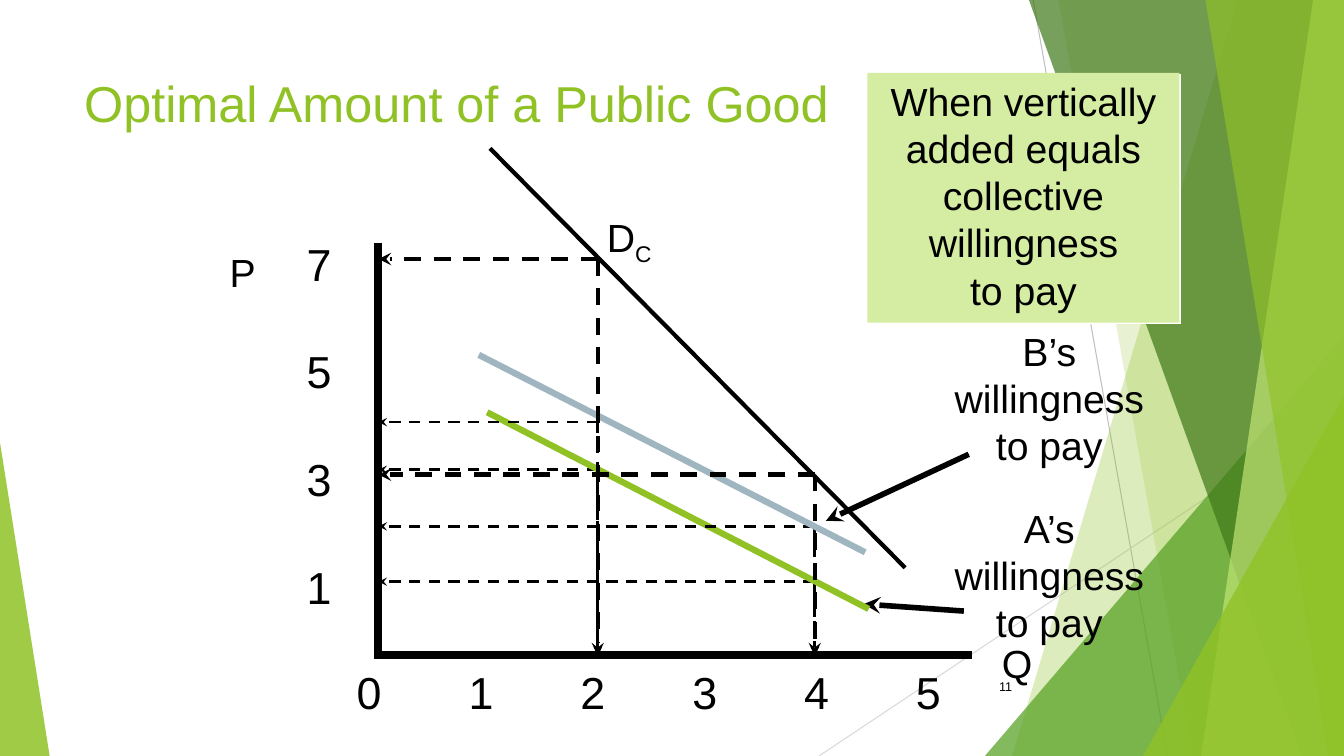
from dataclasses import dataclass

from lxml import etree
from pptx import Presentation
from pptx.dml.color import RGBColor
from pptx.enum.dml import MSO_LINE
from pptx.enum.shapes import MSO_CONNECTOR, MSO_SHAPE
from pptx.enum.text import MSO_ANCHOR, PP_ALIGN
from pptx.oxml.ns import qn
from pptx.util import Pt


@dataclass(frozen=True)
class Theme:
    font: str = "Arial"
    ink: str = "000000"
    white: str = "FFFFFF"
    green: str = "90C226"
    mid_green: str = "54A021"
    dark_green: str = "3F7819"
    light_green: str = "C0E474"
    callout: str = "D5EDA2"
    blue: str = "9FB6C0"
    hairline: str = "BFBFBF"
    pale_hairline: str = "D9D9D9"
    title: float = 36
    tick: float = 32
    label: float = 28
    number: float = 9
    leading: float = 1.2


THEME = Theme()
WIDTH, HEIGHT = 960, 540
AXIS_X, AXIS_Y = 270.5, 468
UNIT = 79.9
QUANTITY_X = {2: 427, 4: 582}


def add_line(slide, start, end, color=THEME.ink, weight=2, dashed=False, arrow=False):
    line = slide.shapes.add_connector(
        MSO_CONNECTOR.STRAIGHT, *(Pt(value) for value in (*start, *end)))
    line.line.color.rgb = RGBColor.from_string(color)
    line.line.width = Pt(weight)
    if dashed:
        line.line.dash_style = MSO_LINE.DASH
    if arrow:
        etree.SubElement(line.line._get_or_add_ln(), qn("a:tailEnd"), type="stealth")
    etree.SubElement(line._element.spPr, qn("a:effectLst"))


def paint(shape, color, opacity=100):
    shape.shadow.inherit = False
    shape.fill.solid()
    shape.fill.fore_color.rgb = RGBColor.from_string(color)
    shape.line.fill.background()
    if opacity < 100:
        fill = shape._element.spPr.find(qn("a:solidFill"))
        etree.SubElement(fill[0], qn("a:alpha"), val=str(opacity * 1000))


def add_band(slide, points, color, opacity):
    outline = slide.shapes.build_freeform(*points[0], scale=Pt(1))
    outline.add_line_segments(points[1:], close=True)
    paint(outline.convert_to_shape(), color, opacity)


def add_triangle(slide, box, apex, color, opacity):
    triangle = slide.shapes.add_shape(
        MSO_SHAPE.ISOSCELES_TRIANGLE, *(Pt(value) for value in box))
    triangle.adjustments[0] = apex
    paint(triangle, color, opacity)


def write(frame, text, size=THEME.label, color=THEME.ink, align=PP_ALIGN.LEFT,
          anchor=MSO_ANCHOR.TOP, gap=0, tab=0, subscript=""):
    frame.word_wrap = True
    frame.vertical_anchor = anchor
    for index, content in enumerate(text.split("\n")):
        paragraph = frame.paragraphs[0] if index == 0 else frame.add_paragraph()
        paragraph.alignment = align
        paragraph.line_spacing = Pt(size * THEME.leading)
        if index and gap:
            paragraph.space_before = Pt(gap)
        if tab:
            stops = etree.SubElement(paragraph._p.get_or_add_pPr(), qn("a:tabLst"))
            for number in range(1, content.count("\t") + 1):
                etree.SubElement(stops, qn("a:tab"), algn="l",
                                 pos=str(int(Pt(tab * number))))
        for part in filter(None, (content, subscript)):
            run = paragraph.add_run()
            run.text = part
            run.font.name = THEME.font
            run.font.size = Pt(size)
            run.font.color.rgb = RGBColor.from_string(color)
        if subscript:
            run.font._element.set("baseline", "-25000")


def add_text(slide, box, text, **text_format):
    textbox = slide.shapes.add_textbox(*(Pt(value) for value in box))
    write(textbox.text_frame, text, **text_format)


def add_callout(slide, box, text):
    callout = slide.shapes.add_shape(MSO_SHAPE.RECTANGLE, *(Pt(value) for value in box))
    paint(callout, THEME.callout)
    effects = callout._element.spPr.find(qn("a:effectLst"))
    shadow = etree.SubElement(effects, qn("a:outerShdw"),
                              dist=str(int(Pt(1.4))), dir="2700000")
    etree.SubElement(shadow, qn("a:srgbClr"), val=THEME.white)
    write(callout.text_frame, text, align=PP_ALIGN.CENTER)


def add_backdrop(slide):
    add_line(slide, (738, 0), (834, HEIGHT), THEME.hairline, 0.75)
    add_line(slide, (WIDTH, 290), (585, HEIGHT), THEME.pale_hairline, 0.75)
    rear = [(884, 723, THEME.green, 30), (756, 852, THEME.green, 20)]
    front = [(735, 930, THEME.dark_green, 70), (938, 858, THEME.light_green, 70),
             (861, 949, THEME.green, 65)]
    for bands, triangle in (
            (rear, ((703.5, 240, 256.5, 300), 1, THEME.mid_green, 72)),
            (front, ((816.5, 283, 143.5, 257), 1, THEME.green, 80))):
        for top, bottom, color, opacity in bands:
            corners = [(top, 0), (WIDTH, 0), (WIDTH, HEIGHT), (bottom, HEIGHT)]
            add_band(slide, corners, color, opacity)
        add_triangle(slide, *triangle)
    add_triangle(slide, (0, 316, 35.5, 224), 0, THEME.green, 85)


def add_guides(slide, prices, weight):
    for quantity, price in prices.items():
        x = QUANTITY_X[quantity]
        add_line(slide, (x, price), (x, AXIS_Y), weight=weight, dashed=True, arrow=True)
        add_line(slide, (x, price), (AXIS_X, price), weight=weight, dashed=True, arrow=True)


def add_axes(slide):
    add_line(slide, (270, 173.5), (270, 471), weight=6)
    add_line(slide, (272, AXIS_Y), (694, AXIS_Y), weight=6)
    add_text(slide, (157, 173.5, 40, 41), "P")
    add_text(slide, (708.5, 453.5, 44, 41), "Q")
    add_text(slide, (203, 165.5, 50, 276), "7\n5\n3\n1", size=THEME.tick,
             align=PP_ALIGN.CENTER, gap=38.4)
    add_text(slide, (247.7, 471.5, 450, 46), "0\t1\t2\t3\t4\t5",
             size=THEME.tick, tab=UNIT)


def main():
    deck = Presentation()
    deck.slide_width, deck.slide_height = Pt(WIDTH), Pt(HEIGHT)
    slide = deck.slides.add_slide(deck.slide_layouts[6])

    add_backdrop(slide)
    add_text(slide, (676, 476, 54, 29), "11", size=THEME.number,
             align=PP_ALIGN.RIGHT, anchor=MSO_ANCHOR.MIDDLE)
    add_guides(slide, {2: 335.5, 4: 415.5}, 2)
    add_axes(slide)
    add_text(slide, (667, 356.5, 165, 108), "A’s\nwillingness\nto pay",
             align=PP_ALIGN.CENTER)
    add_line(slide, (688.5, 436.5), (617, 431.5), weight=4, arrow=True)
    add_line(slide, (348, 294.5), (620.5, 435), THEME.green, 4.5)
    add_text(slide, (53, 48, 677, 104), "Optimal Amount of a Public Good",
             size=THEME.title, color=THEME.green)

    add_guides(slide, {2: 301.5, 4: 376}, 2)
    add_text(slide, (667, 230.5, 165, 109), "B’s\nwillingness\nto pay",
             align=PP_ALIGN.CENTER)
    add_line(slide, (692, 324.5), (590, 372), weight=4, arrow=True)
    add_line(slide, (342, 253.5), (618, 394.5), THEME.blue, 4.5)

    add_guides(slide, {2: 185, 4: 339}, 3)
    add_callout(slide, (619.5, 52, 223, 178.5),
                "When vertically\nadded equals\ncollective\nwillingness\nto pay")
    add_line(slide, (350, 106), (646.5, 405.5), weight=3)
    add_text(slide, (426.5, 153.5, 56, 41), "D", subscript="C")
    deck.save("out.pptx")


if __name__ == "__main__":
    main()
